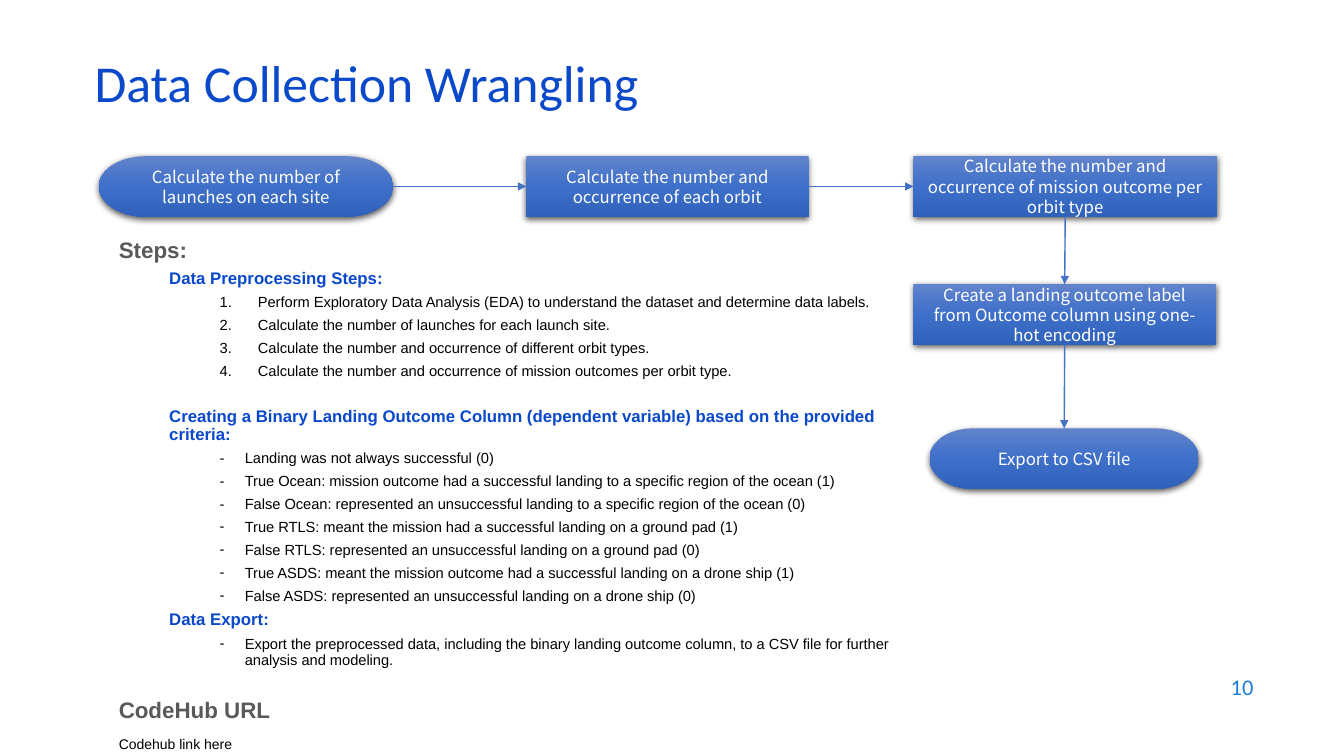
from dataclasses import dataclass

from lxml import etree
from pptx import Presentation
from pptx.dml.color import RGBColor
from pptx.enum.shapes import MSO_CONNECTOR, MSO_SHAPE
from pptx.enum.text import MSO_ANCHOR, PP_ALIGN
from pptx.oxml import parse_xml
from pptx.oxml.ns import qn
from pptx.util import Inches, Pt

TERMINATOR = MSO_SHAPE.FLOWCHART_TERMINATOR
PROCESS = MSO_SHAPE.FLOWCHART_PROCESS
STRAIGHT = MSO_CONNECTOR.STRAIGHT
MIDDLE, TOP_ANCHOR = MSO_ANCHOR.MIDDLE, MSO_ANCHOR.TOP
LEFT_ALIGN, CENTER, RIGHT_ALIGN = PP_ALIGN.LEFT, PP_ALIGN.CENTER, PP_ALIGN.RIGHT
TOP, LEFT, BOTTOM, RIGHT = range(4)  # connection sites
DRAWING = "http://schemas.openxmlformats.org/drawingml/2006/main"


@dataclass(frozen=True)
class TextStyle:
    font: str
    size: float
    color: str
    bold: bool = False


@dataclass(frozen=True)
class Theme:
    title: TextStyle = TextStyle("Calibri", 37, "0B49CB")
    page: TextStyle = TextStyle("Calibri", 16, "1C7DDB")
    step: TextStyle = TextStyle("Noto Sans CJK TC", 12, "FFFFFF")
    section: TextStyle = TextStyle("Arial", 16, "595959", True)
    heading: TextStyle = TextStyle("Arial", 12, "0948CB", True)
    item: TextStyle = TextStyle("Arial", 10.5, "000000")
    link: TextStyle = TextStyle("Arial", 10, "000000")
    gradient: tuple = ((0, "6183CB"), (50, "3E70CA"), (100, "3062BB"))
    arrow: str = "4472C4"
    shadow: str = "000000"


@dataclass(frozen=True)
class Step:
    kind: int
    left: float
    top: float
    width: float
    text: str


@dataclass(frozen=True)
class ListLevel:
    level: int
    margin: float
    indent: float
    bullet: tuple | None = None


@dataclass(frozen=True)
class Line:
    text: str
    style: TextStyle
    layout: ListLevel
    before: float


THEME = Theme()
STEP_HEIGHT = 0.6
PLAIN = ListLevel(0, 0, 0)
INDENTED = ListLevel(1, 0.5, 0)
NUMBERED = ListLevel(2, 1.38, -0.38, ("buAutoNum", "type", "arabicPeriod"))
DASHED = ListLevel(2, 1.25, -0.25, ("buChar", "char", "-"))

STEPS = [
    Step(TERMINATOR, 0.98, 1.55, 2.92, "Calculate the number of launches on each site"),
    Step(PROCESS, 5.22, 1.55, 2.8, "Calculate the number and occurrence of each orbit"),
    Step(PROCESS, 9.06, 1.55, 3.01,
         "Calculate the number and occurrence of mission outcome per orbit type"),
    Step(PROCESS, 9.06, 2.82, 3,
         "Create a landing outcome label from Outcome column using one-hot encoding"),
    Step(TERMINATOR, 9.22, 4.25, 2.67, "Export to CSV file"),
]
ROUTES = [(RIGHT, LEFT), (RIGHT, LEFT), (BOTTOM, TOP), (BOTTOM, TOP)]

# Heading, space before it, list layout, items
GROUPS = [
    ("Data Preprocessing Steps:", 5, NUMBERED, [
        "Perform Exploratory Data Analysis (EDA) to understand the dataset and determine data labels.",
        "Calculate the number of launches for each launch site.",
        "Calculate the number and occurrence of different orbit types.",
        "Calculate the number and occurrence of mission outcomes per orbit type.",
    ]),
    ("Creating a Binary Landing Outcome Column (dependent variable) based on the provided criteria:",
     20.4, DASHED, [
         "Landing was not always successful (0)",
         "True Ocean: mission outcome had a successful landing to a specific region of the ocean (1)",
         "False Ocean: represented an unsuccessful landing to a specific region of the ocean (0)",
         "True RTLS: meant the mission had a successful landing on a ground pad (1)",
         "False RTLS: represented an unsuccessful landing on a ground pad (0)",
         "True ASDS: meant the mission outcome had a successful landing on a drone ship (1)",
         "False ASDS: represented an unsuccessful landing on a drone ship (0)",
     ]),
    ("Data Export:", 5, DASHED, [
        "Export the preprocessed data, including the binary landing outcome column, "
        "to a CSV file for further analysis and modeling.",
    ]),
]


def add_run(paragraph, text: str, style: TextStyle) -> None:
    run = paragraph.add_run()
    run.text = text
    run.font.name = style.font
    run.font.size = Pt(style.size)
    run.font.bold = style.bold
    run.font.color.rgb = RGBColor.from_string(style.color)
    if style is THEME.step:
        etree.SubElement(run.font._element, qn("a:ea"), typeface=style.font)


def add_text_box(slide, left: float, top: float, width: float, height: float, anchor):
    box = slide.shapes.add_textbox(Inches(left), Inches(top), Inches(width), Inches(height))
    box.text_frame.word_wrap = True
    box.text_frame.vertical_anchor = anchor
    return box.text_frame


def add_label(slide, place: tuple, text: str, style: TextStyle, align, spacing: float) -> None:
    paragraph = add_text_box(slide, *place, MIDDLE).paragraphs[0]
    paragraph.alignment = align
    paragraph.line_spacing = spacing
    add_run(paragraph, text, style)


def add_step(slide, step: Step):
    shape = slide.shapes.add_shape(step.kind, Inches(step.left), Inches(step.top),
                                   Inches(step.width), Inches(STEP_HEIGHT))
    shape.line.fill.background()
    # Three-stop vertical gradient and soft shadow
    stops = "".join(f'<a:gs pos="{position * 1000}"><a:srgbClr val="{color}"/></a:gs>'
                    for position, color in THEME.gradient)
    properties = shape._element.spPr
    properties.find(qn("a:ln")).addprevious(parse_xml(
        f'<a:gradFill xmlns:a="{DRAWING}" rotWithShape="1"><a:gsLst>{stops}</a:gsLst>'
        '<a:lin ang="5400000" scaled="0"/></a:gradFill>'))
    properties.append(parse_xml(
        f'<a:effectLst xmlns:a="{DRAWING}"><a:outerShdw blurRad="{Pt(4.5)}" dist="{Pt(1.5)}" '
        f'dir="5400000" algn="ctr" rotWithShape="0"><a:srgbClr val="{THEME.shadow}">'
        '<a:alpha val="63000"/></a:srgbClr></a:outerShdw></a:effectLst>'))
    shape.text_frame.word_wrap = True
    shape.text_frame.vertical_anchor = MIDDLE
    paragraph = shape.text_frame.paragraphs[0]
    paragraph.alignment = CENTER
    add_run(paragraph, step.text, THEME.step)
    return shape


def add_arrow(slide, start, end, route: tuple) -> None:
    connector = slide.shapes.add_connector(STRAIGHT, 0, 0, 0, 0)
    connector.begin_connect(start, route[0])
    connector.end_connect(end, route[1])
    connector.line.color.rgb = RGBColor.from_string(THEME.arrow)
    connector.line.width = Pt(1)
    etree.SubElement(connector.line._get_or_add_ln(), qn("a:tailEnd"), type="triangle")
    etree.SubElement(connector._element.spPr, qn("a:effectLst"))


def add_line(paragraph, line: Line) -> None:
    layout = line.layout
    properties = paragraph._p.get_or_add_pPr()
    properties.set("marL", str(Inches(layout.margin)))
    properties.set("indent", str(Inches(layout.indent)))
    if layout.bullet:
        tag, attribute, value = layout.bullet
        etree.SubElement(properties, qn("a:buFont"), typeface=line.style.font)
        etree.SubElement(properties, qn(f"a:{tag}")).set(attribute, value)
    paragraph.level = layout.level
    paragraph.line_spacing = 0.9
    paragraph.space_before = Pt(line.before)
    add_run(paragraph, line.text, line.style)


def outline() -> list[Line]:
    lines = [Line("Steps:", THEME.section, PLAIN, 0)]
    for heading, before, layout, items in GROUPS:
        lines.append(Line(heading, THEME.heading, INDENTED, before))
        lines += [Line(item, THEME.item, layout, 5) for item in items]
    lines.append(Line("CodeHub URL", THEME.section, PLAIN, 22))
    lines.append(Line("Codehub link here", THEME.link, PLAIN, 10))
    return lines


def main() -> None:
    presentation = Presentation()
    presentation.slide_width, presentation.slide_height = Inches(13.33), Inches(7.5)
    slide = presentation.slides.add_slide(presentation.slide_layouts[6])

    # Page number and title
    add_label(slide, (9.53, 6.59, 3, 0.44), "10", THEME.page, RIGHT_ALIGN, 1.0)
    add_label(slide, (0.84, 0.59, 11.5, 0.6), "Data Collection Wrangling", THEME.title, LEFT_ALIGN, 0.7)

    # Flow chart
    shapes = [add_step(slide, step) for step in STEPS]
    for start, end, route in zip(shapes, shapes[1:], ROUTES):
        add_arrow(slide, start, end, route)

    # Written steps
    frame = add_text_box(slide, 1.08, 2.32, 8.04, 5.37, TOP_ANCHOR)
    for index, line in enumerate(outline()):
        add_line(frame.add_paragraph() if index else frame.paragraphs[0], line)

    presentation.save("out.pptx")


if __name__ == "__main__":
    main()
